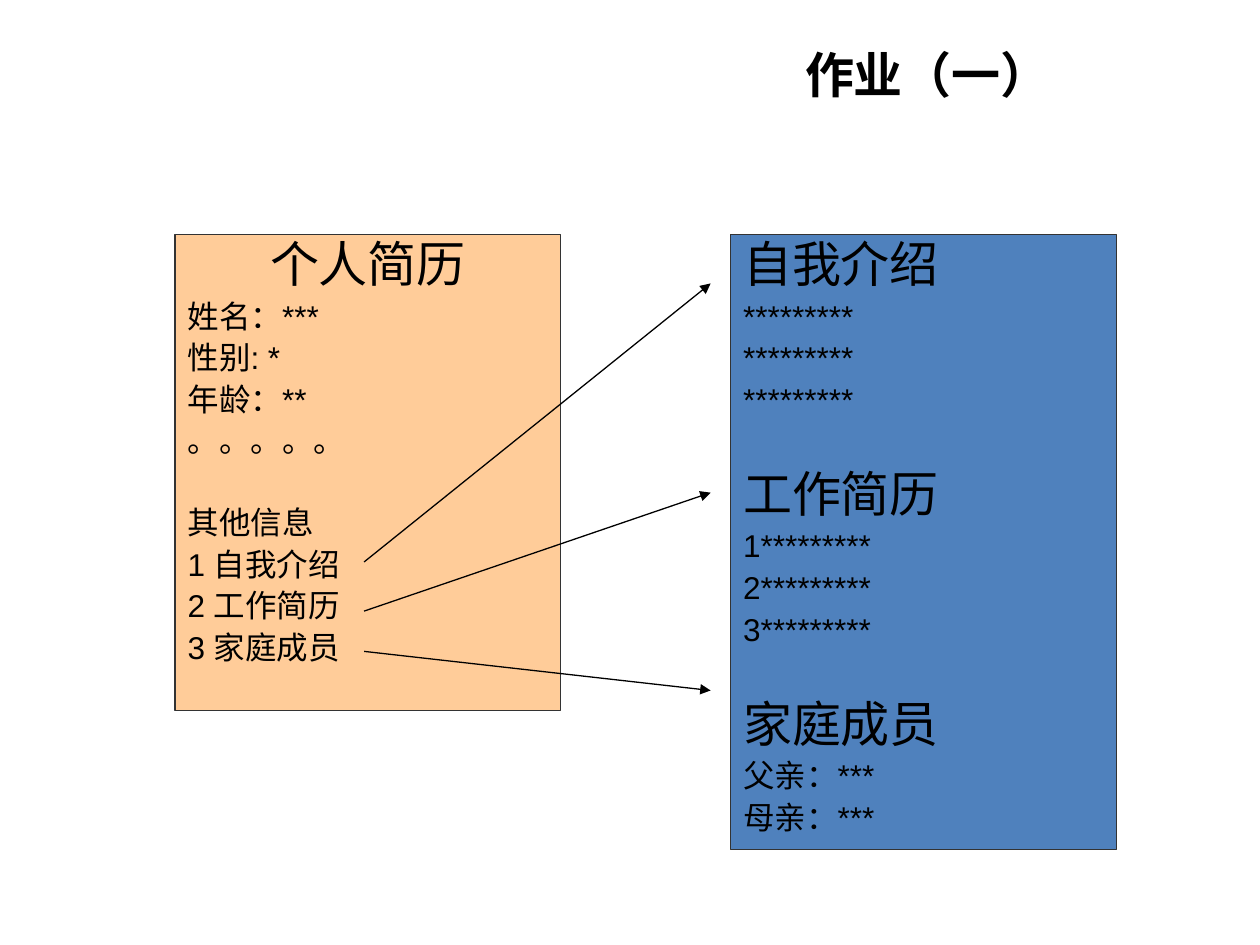
"""Build the homework slide linking a résumé outline to its detail sections."""
from dataclasses import dataclass

from lxml import etree
from pptx import Presentation
from pptx import util as u
from pptx.dml.color import RGBColor
from pptx.enum import shapes, text
from pptx.oxml.ns import qn

COLORS = {"ink": "000000", "border": "333333", "resume": "FFCC99", "details": "4F81BD"}
HEADING_SIZE = 28
BODY_SIZE = 18
SPACE_RATIO = 0.24
SECTION_GAP = 23
HANGING_INDENT = u.Inches(0.38)
PANEL_TOP = 1.86
PANEL_WIDTH = 3.06
ARROW_LEFT, ARROW_RIGHT = 2.89, 5.64


@dataclass(frozen=True)
class Line:
    content: str
    size: int = BODY_SIZE
    centered: bool = False
    new_section: bool = False


@dataclass(frozen=True)
class Panel:
    left: float
    height: float
    color: str
    lines: tuple[Line, ...]


@dataclass(frozen=True)
class Arrow:
    start: float
    end: float


PANELS = (
    Panel(1.39, 3.78, "resume", (
        Line("个人简历", HEADING_SIZE, centered=True),
        Line("姓名：***"),
        Line("性别: *"),
        Line("年龄：**"),
        Line("。。。。。"),
        Line("其他信息", new_section=True),
        Line("1 自我介绍"),
        Line("2 工作简历"),
        Line("3 家庭成员"),
    )),
    Panel(5.8, 4.88, "details", (
        Line("自我介绍", HEADING_SIZE),
        *[Line("*********")] * 3,
        Line("工作简历", HEADING_SIZE, new_section=True),
        *[Line(f"{number}*********") for number in range(1, 4)],
        Line("家庭成员", HEADING_SIZE, new_section=True),
        Line("父亲：***"),
        Line("母亲：***"),
    )),
)
ARROWS = (Arrow(4.46, 2.25), Arrow(4.85, 3.91), Arrow(5.17, 5.48))


def rgb(name: str) -> RGBColor:
    return RGBColor.from_string(COLORS[name])


def add_run(paragraph, content: str, size: int, typeface: str, bold: bool = False) -> None:
    run = paragraph.add_run()
    run.text = content
    run.font.size = u.Pt(size)
    run.font.bold = bold
    run.font.color.rgb = rgb("ink")
    run.font.name = typeface
    etree.SubElement(run.font._element, qn("a:ea"), typeface=typeface)


def add_title(slide, content: str) -> None:
    title = slide.shapes.title
    title.left, title.top = u.Inches(4.8), u.Inches(0.31)
    title.width, title.height = u.Inches(5.12), u.Inches(0.55)
    title.text_frame.vertical_anchor = text.MSO_ANCHOR.MIDDLE
    paragraph = title.text_frame.paragraphs[0]
    paragraph.alignment = text.PP_ALIGN.CENTER
    add_run(paragraph, content, HEADING_SIZE, "Noto Sans CJK SC", bold=True)


def add_panel(slide, panel: Panel) -> None:
    shape = slide.shapes.add_shape(
        shapes.MSO_SHAPE.RECTANGLE, u.Inches(panel.left), u.Inches(PANEL_TOP),
        u.Inches(PANEL_WIDTH), u.Inches(panel.height))
    shape.shadow.inherit = False
    shape.fill.solid()
    shape.fill.fore_color.rgb = rgb(panel.color)
    shape.line.color.rgb = rgb("border")
    shape.line.width = u.Pt(0.75)
    frame = shape.text_frame
    frame.word_wrap = True
    frame.vertical_anchor = text.MSO_ANCHOR.TOP
    for index, line in enumerate(panel.lines):
        paragraph = frame.add_paragraph() if index else frame.paragraphs[0]
        paragraph.alignment = text.PP_ALIGN.CENTER if line.centered else text.PP_ALIGN.LEFT
        paragraph.line_spacing = 0.9
        if index:
            gap = SECTION_GAP if line.new_section else 0
            paragraph.space_before = u.Pt(line.size * SPACE_RATIO + gap)
        properties = paragraph._p.get_or_add_pPr()
        properties.set("marL", str(HANGING_INDENT))
        properties.set("indent", str(-HANGING_INDENT))
        add_run(paragraph, line.content, line.size, "Arial")


def add_arrow(slide, arrow: Arrow) -> None:
    connector = slide.shapes.add_connector(
        shapes.MSO_CONNECTOR.STRAIGHT, u.Inches(ARROW_LEFT), u.Inches(arrow.start),
        u.Inches(ARROW_RIGHT), u.Inches(arrow.end))
    connector.line.color.rgb = rgb("ink")
    connector.line.width = u.Pt(0.75)
    etree.SubElement(connector.line._get_or_add_ln(), qn("a:tailEnd"), type="triangle")
    etree.SubElement(connector._element.spPr, qn("a:effectLst"))


def main() -> None:
    presentation = Presentation()
    presentation.slide_width, presentation.slide_height = u.Inches(10), u.Inches(7.5)
    slide = presentation.slides.add_slide(presentation.slide_layouts.get_by_name("Title Only"))
    add_title(slide, "作业（一）")
    for panel in PANELS:
        add_panel(slide, panel)
    for arrow in ARROWS:
        add_arrow(slide, arrow)
    presentation.save("out.pptx")


if __name__ == "__main__":
    main()
